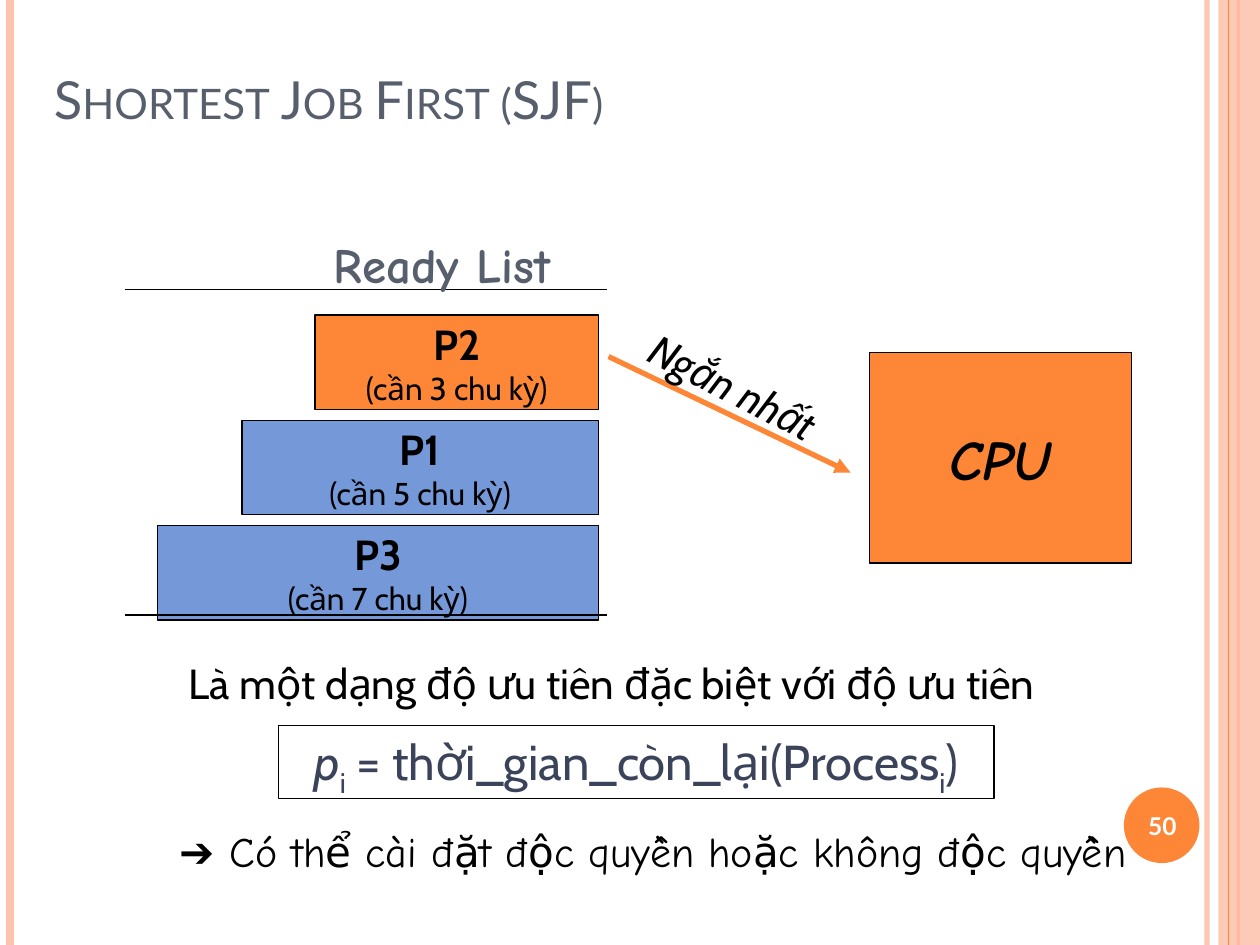
import pptx
import pptx.util
import pptx.dml.color
import pptx.enum.shapes
import pptx.enum.text
import pptx.oxml.ns
import lxml.etree

Inches, Pt = pptx.util.Inches, pptx.util.Pt
SHAPE = pptx.enum.shapes.MSO_SHAPE
ANCHOR = pptx.enum.text.MSO_ANCHOR
ALIGN = pptx.enum.text.PP_ALIGN
qn = pptx.oxml.ns.qn

ORANGE, PEACH, BLUE, BLACK, SLATE, NAVY = (
    "FE8637", "FEC3AE", "7598D9", "000000", "575F6D", "3B435B")


def rgb(value):
    return pptx.dml.color.RGBColor.from_string(value)


def set_alpha(fill, percent):
    """Set the opacity of a solid fill element's colour."""
    lxml.etree.SubElement(fill[0], qn("a:alpha"), val=str(percent * 1000))


def add_text(p, text, size=24, font="Cabin", color=BLACK, bold=False,
             italic=False, small_caps=False, baseline=0):
    r = p.add_run()
    r.text = text
    r.font.size, r.font.name = Pt(size), font
    r.font.bold, r.font.italic = bold, italic
    r.font.color.rgb = rgb(color)
    rpr = r.font._element
    if small_caps:
        rpr.set("cap", "small")
    if baseline:
        rpr.set("baseline", str(baseline * 1000))
    return r


class Slide:
    def __init__(self, prs):
        self.s = prs.slides.add_slide(prs.slide_layouts[6])

    def line(self, x1, y1, x2, y2, color=BLACK, width=0.75, alpha=None, arrow=False):
        c = self.s.shapes.add_connector(
            pptx.enum.shapes.MSO_CONNECTOR.STRAIGHT,
            Inches(x1), Inches(y1), Inches(x2), Inches(y2))
        c.line.color.rgb, c.line.width = rgb(color), Pt(width)
        ln = c.line._get_or_add_ln()
        if alpha:
            set_alpha(ln.find(qn("a:solidFill")), alpha)
        if arrow:
            lxml.etree.SubElement(ln, qn("a:tailEnd"), type="triangle")
        lxml.etree.SubElement(c._element.spPr, qn("a:effectLst"))

    def shape(self, x, y, w, h, fill=None, line=BLACK, kind=SHAPE.RECTANGLE,
              alpha=None, anchor=ANCHOR.MIDDLE, wrap=False):
        """Add a preset shape and return its centred first paragraph."""
        sp = self.s.shapes.add_shape(kind, Inches(x), Inches(y), Inches(w), Inches(h))
        sp.shadow.inherit = False
        if fill:
            sp.fill.solid()
            sp.fill.fore_color.rgb = rgb(fill)
            if alpha:
                set_alpha(sp._element.spPr.find(qn("a:solidFill")), alpha)
        else:
            sp.fill.background()
        if line:
            sp.line.color.rgb, sp.line.width = rgb(line), Pt(0.75)
        else:
            sp.line.fill.background()
        tf = sp.text_frame
        tf.vertical_anchor, tf.word_wrap = anchor, wrap
        p = tf.paragraphs[0]
        p.alignment = ALIGN.CENTER
        return p

    def label(self, x, y, w, h, text, anchor=ANCHOR.TOP, align=ALIGN.LEFT,
              rotation=0, **style):
        sp = self.s.shapes.add_textbox(Inches(x), Inches(y), Inches(w), Inches(h))
        sp.rotation = rotation
        tf = sp.text_frame
        tf.word_wrap, tf.vertical_anchor = True, anchor
        if align == ALIGN.LEFT:
            tf.margin_right = 0
        p = tf.paragraphs[0]
        p.alignment = align
        add_text(p, text, **style)


prs = pptx.Presentation()
prs.slide_width, prs.slide_height = Inches(10), Inches(7.5)
s = Slide(prs)

# Side stripes and page number
s.line(9.58, 0, 9.58, 7.5, PEACH, 3, alpha=93)
s.line(0.08, 0, 0.08, 7.5, PEACH, 4.5)
s.line(9.83, 0, 9.83, 7.5, ORANGE, 1.5)
s.shape(9.67, 0, 0.33, 7.5, PEACH, None, alpha=87)
s.line(9.75, 0, 9.75, 7.5, ORANGE)
s.shape(8.92, 6.25, 0.6, 0.6, ORANGE, None, kind=SHAPE.OVAL)
s.label(8.89, 6.27, 0.67, 0.57, "50", ANCHOR.MIDDLE, ALIGN.CENTER,
        size=14, font="Lato", color="FFFFFF", bold=True)

# Title
s.label(0.33, -0.17, 8.17, 1.25, "Shortest Job First (SJF)", ANCHOR.BOTTOM,
        size=30, font="Lato", color=SLATE, small_caps=True)

# Ready list: right-aligned jobs, shortest on top
jobs = [("P2", 3, 2.25, ORANGE), ("P1", 5, 2.83, BLUE), ("P3", 7, 3.5, BLUE)]
for i, (name, cycles, width, fill) in enumerate(jobs):
    p = s.shape(4.75 - width, 2.5 + i * 0.835, width, 0.75, fill)
    add_text(p, name, bold=True)
    p.add_line_break()
    add_text(p, f"(cần {cycles} chu kỳ)", size=18)
for y in (2.3, 4.88):
    s.line(0.99, y, 4.82, y)
s.label(2.55, 1.81, 2.19, 0.57, "Ready List",
        size=28, font="Comic Neue", color=SLATE, bold=True)

# Shortest job goes to the CPU
s.line(4.83, 2.83, 6.75, 3.75, ORANGE, 3, arrow=True)
s.label(5, 2.84, 1.73, 0.5, "Ngắn nhất", rotation=27.1, italic=True)
p = s.shape(6.9, 2.8, 2.08, 1.67, ORANGE)
add_text(p, "CPU", size=32, font="Comic Neue", bold=True, italic=True)

# Priority formula
s.label(1.4, 5.17, 7.1, 0.5, "Là một dạng độ ưu tiên đặc biệt với độ ưu tiên")
p = s.shape(2.21, 5.76, 5.68, 0.58, anchor=ANCHOR.TOP, wrap=True)
for text, style in [("p", {"italic": True}), ("i", {"baseline": -25}),
                    (" = thời_gian_còn_lại(Process", {}),
                    ("i", {"baseline": -25}), (")", {})]:
    add_text(p, text, size=28, color=NAVY, **style)

# Conclusion
s.label(1.33, 6.5, 7.72, 0.5, "➔ Có thể cài đặt độc quyền hoặc không độc quyền",
        font="Comic Neue")

prs.save("out.pptx")
